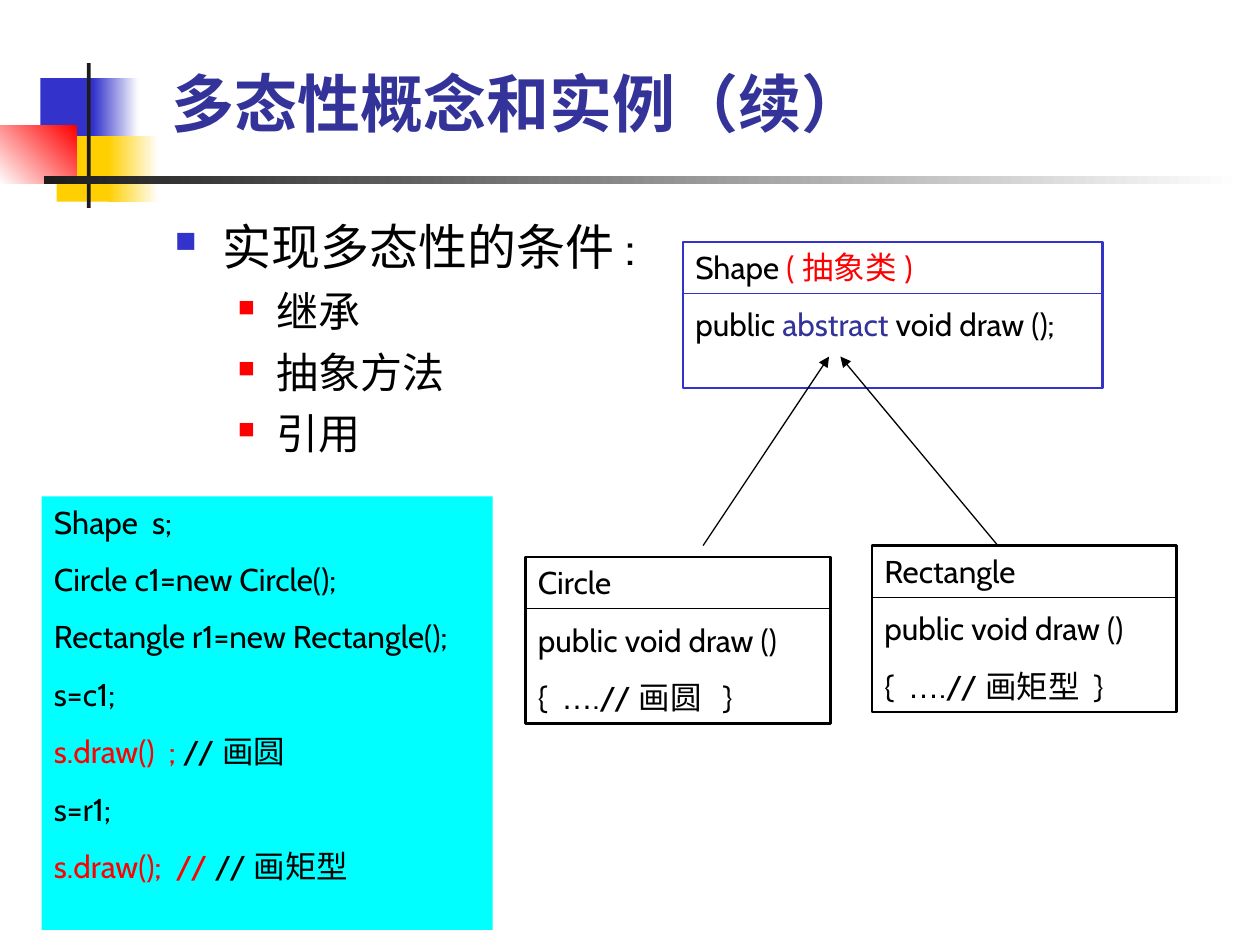
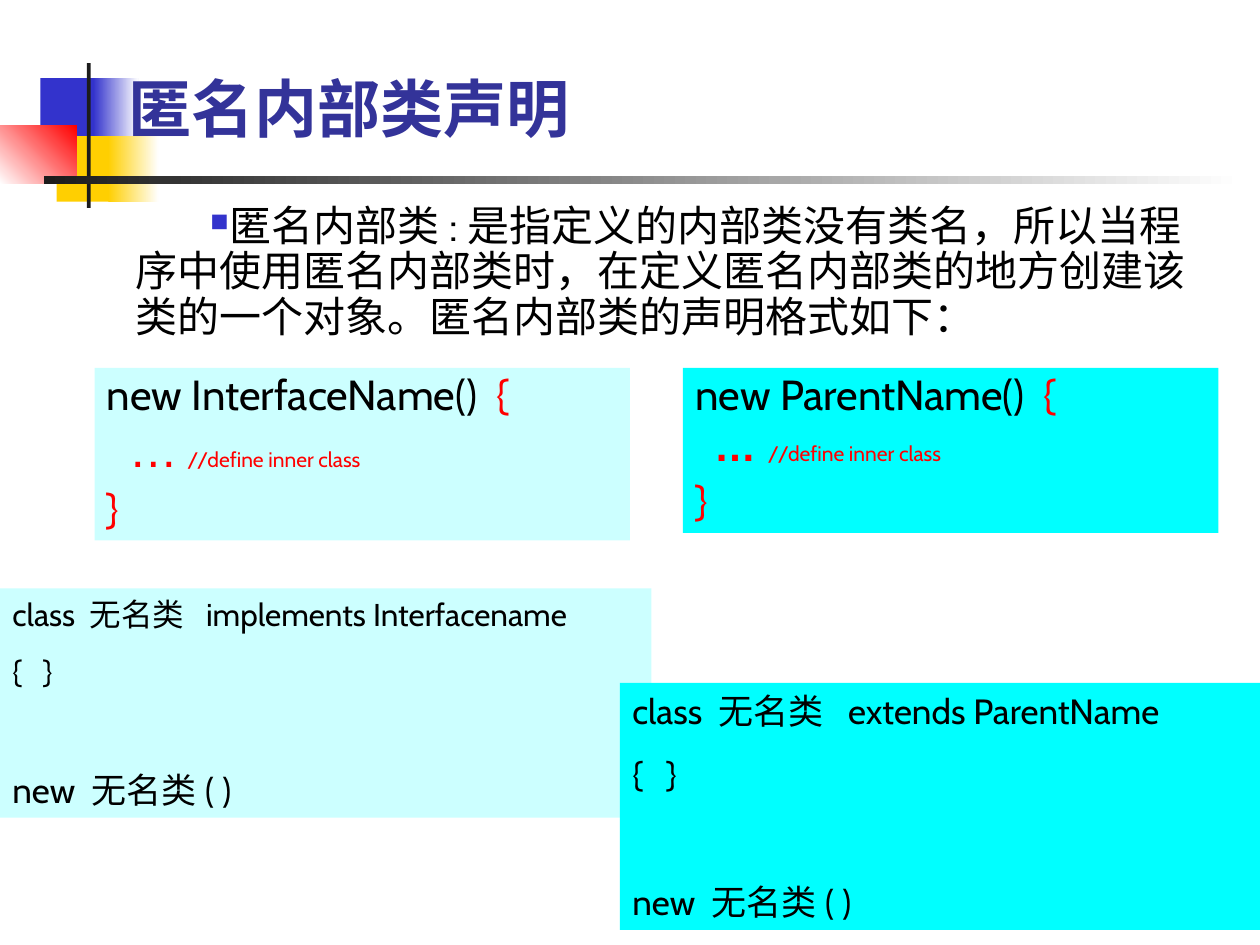
"""Builds two slides on polymorphism and anonymous inner classes."""
from dataclasses import dataclass
from typing import NamedTuple, Optional

from lxml import etree
from pptx import Presentation
from pptx import util as u
from pptx.dml.color import RGBColor
from pptx.enum import shapes, text
from pptx.oxml.ns import qn

EMU_PER_PX = 9144


@dataclass(frozen=True)
class Theme:
    blue: str = "3333CC"
    indigo: str = "333399"
    yellow: str = "FFCF01"
    red: str = "FF0000"
    ink: str = "1C1C1C"
    black: str = "000000"
    white: str = "FFFFFF"
    cyan: str = "00FFFF"
    pale: str = "CCFFFF"
    face: str = "Cabin"
    symbol_face: str = "Arial"
    title_size: int = 36
    lead_size: int = 28
    body_size: int = 24
    large_code_size: int = 20
    code_size: int = 18
    note_size: int = 12
    frame_width: float = 1.5
    rule_width: float = 0.75


THEME = Theme()


class Area(NamedTuple):
    left: int
    top: int
    width: int
    height: int


class Bullet(NamedTuple):
    color: str
    percent: int
    margin: int
    indent: int


class Span(NamedTuple):
    text: str
    color: str = THEME.black
    size: int = THEME.code_size
    face: str = THEME.face
    bold: bool = False


class Para(NamedTuple):
    spans: list[Span]
    before: float = 11.2
    spacing: Optional[float] = None
    bullet: Optional[Bullet] = None


class Block(NamedTuple):
    area: Area
    color: str
    fade: Optional[str] = None
    angle: int = 0


class ClassBox(NamedTuple):
    area: Area
    color: str
    paras: list[Para]


class Link(NamedTuple):
    start: tuple[int, int]
    end: tuple[int, int]
    color: str = THEME.black
    arrow: bool = False


DECORATION = [
    Block(Area(32, 62, 48, 52), THEME.blue),
    Block(Area(74, 62, 36, 52), THEME.blue, THEME.white),
    Block(Area(45, 108, 46, 52), THEME.yellow),
    Block(Area(86, 108, 40, 52), THEME.yellow, THEME.white),
    Block(Area(0, 100, 61, 46), THEME.white, THEME.red, 45),
    Block(Area(69, 50, 3, 115), THEME.ink),
    Block(Area(35, 140, 951, 6), THEME.ink, THEME.white),
]


def px(length: int) -> u.Emu:
    return u.Emu(length * EMU_PER_PX)


def rgb(value: str) -> RGBColor:
    return RGBColor.from_string(value)


def apply(target, formats: dict) -> None:
    for name, value in formats.items():
        setattr(target, name, value)


def add_bullet(para, bullet: Bullet) -> None:
    props = para._p.get_or_add_pPr()
    props.set("marL", str(px(bullet.margin)))
    props.set("indent", str(px(bullet.indent)))
    color = etree.SubElement(props, qn("a:buClr"))
    etree.SubElement(color, qn("a:srgbClr"), val=bullet.color)
    etree.SubElement(props, qn("a:buSzPct"), val=str(bullet.percent * 1000))
    etree.SubElement(props, qn("a:buChar"), char="■")


def write(box, paras: list[Para], anchor=text.MSO_ANCHOR.TOP) -> None:
    frame = box.text_frame
    apply(frame, {"word_wrap": True, "vertical_anchor": anchor})
    for index, item in enumerate(paras):
        para = frame.add_paragraph() if index else frame.paragraphs[0]
        if item.bullet:
            add_bullet(para, item.bullet)
        apply(para, {
            "alignment": text.PP_ALIGN.LEFT,
            "space_before": u.Pt(item.before if index else 0),
            "line_spacing": item.spacing,
        })
        for span in item.spans:
            run = para.add_run()
            run.text = span.text
            apply(run.font, {"size": u.Pt(span.size), "name": span.face, "bold": span.bold})
            run.font.color.rgb = rgb(span.color)


def add_textbox(page, area: Area, paras: list[Para], anchor=text.MSO_ANCHOR.TOP) -> None:
    write(page.shapes.add_textbox(*map(px, area)), paras, anchor)


def add_block(page, block: Block):
    box = page.shapes.add_shape(shapes.MSO_SHAPE.RECTANGLE, *map(px, block.area))
    box.shadow.inherit = False
    box.line.fill.background()
    if block.fade:
        box.fill.gradient()
        box.fill.gradient_angle = block.angle
        for stop, color in zip(box.fill.gradient_stops, (block.color, block.fade)):
            stop.color.rgb = rgb(color)
    else:
        box.fill.solid()
        box.fill.fore_color.rgb = rgb(block.color)
    return box


def add_link(page, link: Link) -> None:
    line = page.shapes.add_connector(
        shapes.MSO_CONNECTOR.STRAIGHT, *map(px, link.start + link.end))
    line.line.color.rgb = rgb(link.color)
    line.line.width = u.Pt(THEME.rule_width)
    if link.arrow:
        etree.SubElement(line.line._get_or_add_ln(), qn("a:tailEnd"), type="triangle")
    etree.SubElement(line._element.spPr, qn("a:effectLst"))


def add_class_box(page, item: ClassBox) -> None:
    box = add_block(page, Block(item.area, THEME.white))
    box.fill.background()
    box.line.color.rgb = rgb(item.color)
    box.line.width = u.Pt(THEME.frame_width)
    write(box, item.paras)
    left, top, width, _ = item.area
    add_link(page, Link((left, top + 41), (left + width, top + 41), item.color))


def add_page(deck, title: str, area: Area):
    page = deck.slides.add_slide(deck.slide_layouts[6])
    for block in DECORATION:
        add_block(page, block)
    heading = Span(title, THEME.indigo, THEME.title_size, bold=True)
    add_textbox(page, area, [Para([heading])], text.MSO_ANCHOR.BOTTOM)
    return page


def code(*lines: str, size: int = THEME.code_size, before: float = 11.2) -> list[Para]:
    return [Para([Span(line, size=size)], before) for line in lines]


def subclass_paras(name: str, comment: str) -> list[Para]:
    body = [Span("{  "), Span("…", face=THEME.symbol_face), Span(comment)]
    return code(name, "public void draw ()") + [Para(body)]


def call_para(call: str, comment: str) -> Para:
    return Para([Span(call, THEME.red), Span(comment)])


def declaration_paras(opening: str, dots: list[Span]) -> list[Para]:
    size = THEME.body_size
    note = Span("//define inner class", THEME.red, THEME.note_size)
    return [
        Para([Span(opening, size=size), Span("{", THEME.red, size)], 6, 0.9),
        Para(dots + [note], 3, 0.9),
        Para([Span("}", THEME.red, size)], 6, 0.9),
    ]


def build_polymorphism(deck) -> None:
    page = add_page(deck, "多态性概念和实例（续）", Area(126, 23, 852, 93))
    lead = Bullet(THEME.blue, 60, 38, -38)
    item = Bullet(THEME.red, 55, 81, -31)
    conditions = [Para([Span("实现多态性的条件:", size=THEME.lead_size)], 7, bullet=lead)]
    conditions += [Para([Span(name, size=THEME.body_size)], 6, bullet=item)
                   for name in ("继承", "抽象方法", "引用")]
    add_textbox(page, Area(129, 167, 850, 504), conditions)

    shape_paras = [
        Para([Span("Shape "), Span("(抽象类)", THEME.red)]),
        Para([Span("public "), Span("abstract", THEME.indigo), Span(" void draw ();")]),
    ]
    for box in (
        ClassBox(Area(542, 192, 333, 116), THEME.blue, shape_paras),
        ClassBox(Area(417, 442, 242, 132), THEME.black,
                 subclass_paras("Circle", ".//画圆  }")),
        ClassBox(Area(692, 433, 242, 132), THEME.black,
                 subclass_paras("Rectangle", ".//画矩型 }")),
    ):
        add_class_box(page, box)
    add_link(page, Link((558, 433), (658, 283), arrow=True))
    add_link(page, Link((792, 433), (667, 283), arrow=True))

    usage = code("Shape  s;", "Circle c1=new Circle();", "Rectangle r1=new Rectangle();", "s=c1;")
    usage += [call_para("s.draw()  ; ", "//画圆"), *code("s=r1;"),
              call_para("s.draw();  // ", "//画矩型")]
    write(add_block(page, Block(Area(33, 394, 358, 344), THEME.cyan)), usage)


def build_anonymous_class(deck) -> None:
    page = add_page(deck, "匿名内部类声明", Area(92, 0, 852, 120))
    definition = Span(
        "匿名内部类:是指定义的内部类没有类名，所以当程序中使用匿名内部类时，"
        "在定义匿名内部类的地方创建该类的一个对象。匿名内部类的声明格式如下：",
        size=THEME.body_size)
    bullet = Bullet(THEME.blue, 60, 48, 59)
    add_textbox(page, Area(50, 158, 908, 125), [Para([definition], 6, 0.9, bullet)])

    size, large = THEME.body_size, THEME.large_code_size
    interface_dots = [
        Span("  ", THEME.red, THEME.lead_size),
        Span("…", THEME.red, THEME.lead_size, THEME.symbol_face),
        Span(" ", THEME.red, size),
    ]
    parent_dots = [
        Span("  ", THEME.red, size, bold=True),
        Span("… ", THEME.red, size, THEME.symbol_face, True),
    ]
    panels = [
        (Block(Area(75, 292, 425, 137), THEME.pale),
         declaration_paras("new InterfaceName()  ", interface_dots)),
        (Block(Area(542, 292, 425, 131), THEME.cyan),
         declaration_paras("new ParentName()  ", parent_dots)),
        (Block(Area(0, 467, 517, 182), THEME.pale),
         code("class 无名类  implements Interfacename", "{   }")
         + code("new 无名类( )", size=large, before=45)),
        (Block(Area(492, 542, 508, 196), THEME.cyan),
         code("class 无名类  extends ParentName", "{   }", size=large, before=12.5)
         + code("new 无名类( )", size=large, before=49)),
    ]
    for block, paras in panels:
        write(add_block(page, block), paras)


def main() -> None:
    deck = Presentation()
    apply(deck, {"slide_width": px(1000), "slide_height": px(750)})
    build_polymorphism(deck)
    build_anonymous_class(deck)
    deck.save("out.pptx")


if __name__ == "__main__":
    main()
